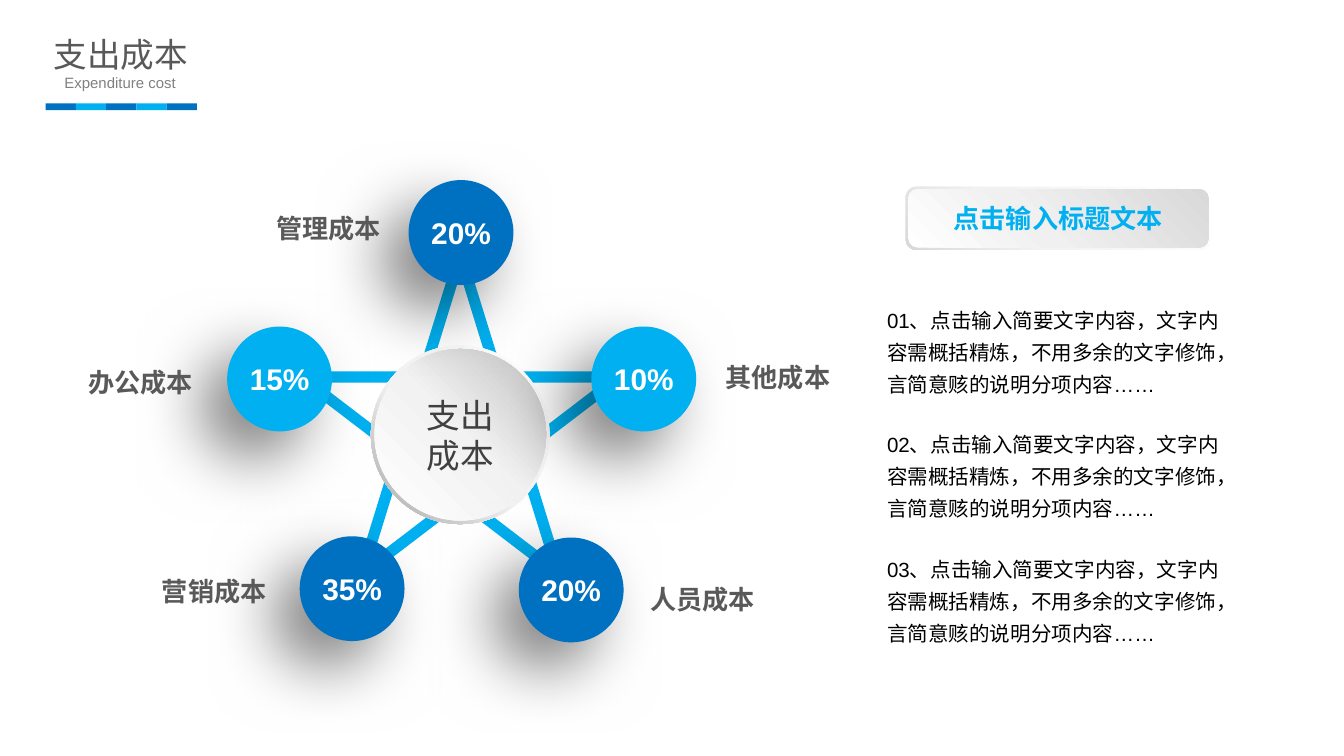
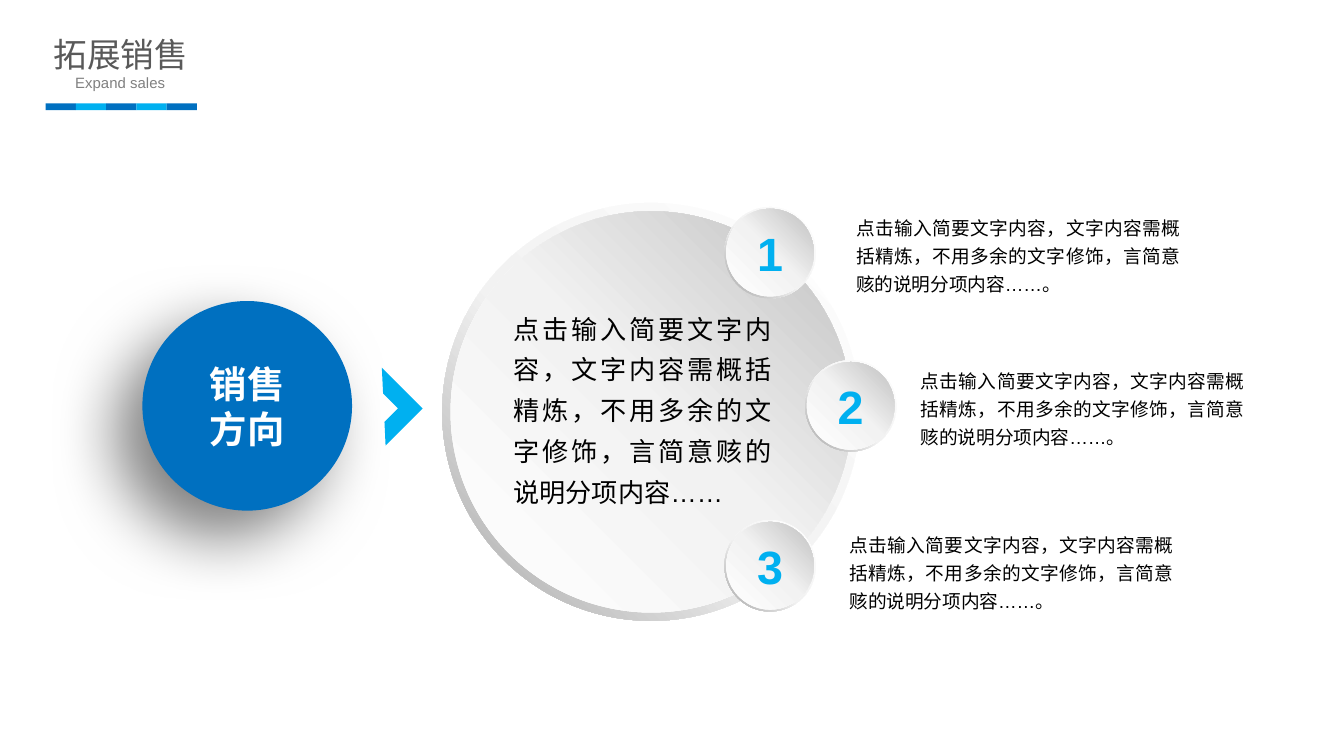
from typing import Any, NamedTuple, Optional

from lxml import etree
from pptx import Presentation
from pptx import util as u
from pptx.dml.color import RGBColor
from pptx.enum import lang, shapes, text
from pptx.oxml.ns import qn

# Shared look: the grid is 100 columns by 56.25 rows of square cells
WIDTH, HEIGHT = u.Inches(10), u.Inches(5.625)
CELL = WIDTH / 100
FONT = "Arial"
COLOURS = {
    "blue": "0070C0",
    "sky": "00B0F0",
    "white": "FFFFFF",
    "black": "000000",
    "title": "595959",
    "subtitle": "808080",
    "core": "404040",
}
SENTENCE = "点击输入简要文字内容，文字内容需概括精炼，不用多余的文字修饰，言简意赅的说明分项内容……"
Shape = shapes.MSO_SHAPE
Align = text.PP_ALIGN
Anchor = text.MSO_ANCHOR


class Area(NamedTuple):
    left: float
    top: float
    width: float
    height: float

    def inset(self, by: float) -> "Area":
        return Area(self.left + by, self.top + by,
                    self.width - 2 * by, self.height - 2 * by)

    def lengths(self) -> list[int]:
        return [round(value * CELL) for value in self]


class Gradient(NamedTuple):
    stops: tuple[tuple[int, str], ...]
    angle: int


class Cost(NamedTuple):
    share: str
    left: float
    top: float
    colour: str
    name: str
    name_left: float
    name_top: float
    align: Any


class Step(NamedTuple):
    number: str
    left: float
    top: float
    note_left: float
    note_top: float


RIM = Gradient(((0, "FFFFFF"), (55, "F2F2F2"), (100, "A6A6A6")), 135)
FACE = Gradient(((0, "FFFFFF"), (51, "F2F2F2"), (100, "BFBFBF")), 315)
PLATE_RIM = Gradient(((0, "FFFFFF"), (62, "F2F2F2"), (100, "D9D9D9")), 135)
PLATE_FACE = Gradient(((0, "FFFFFF"), (42, "F0F0F0"), (100, "D9D9D9")), 315)

COSTS = [
    Cost("15%", 16.9, 24.3, "sky", "办公成本", 5.5, 26.8, Align.CENTER),
    Cost("20%", 30.4, 13.4, "blue", "管理成本", 19.5, 15.3, Align.CENTER),
    Cost("10%", 44, 24.3, "sky", "其他成本", 53, 26.4, Align.LEFT),
    Cost("20%", 38.6, 40, "blue", "人员成本", 47.4, 42.9, Align.LEFT),
    Cost("35%", 22.3, 39.9, "blue", "营销成本", 11, 42.3, Align.CENTER),
]
STEPS = [
    Step("1", 53.9, 15.4, 63.7, 15.7),
    Step("2", 59.9, 26.8, 68.5, 27.1),
    Step("3", 53.9, 38.7, 63.2, 39.3),
]


def rgb(name: str) -> RGBColor:
    return RGBColor.from_string(COLOURS[name])


def write(box: Any, content: str, *, size: float, colour: str, bold: bool = False,
          align: Any = Align.CENTER, anchor: Any = Anchor.TOP, spacing: Any = None,
          gap: float = 0, margins: tuple[float, float] = (0, 0), wrap: bool = True,
          grow: bool = False, bullet_free: bool = False) -> None:
    """Fill a shape with one paragraph per line of content; margins are in cells."""
    frame = box.text_frame
    frame.word_wrap = wrap
    frame.auto_size = (text.MSO_AUTO_SIZE.SHAPE_TO_FIT_TEXT if grow
                       else text.MSO_AUTO_SIZE.NONE)
    frame.vertical_anchor = anchor
    across, down = (round(margin * CELL) for margin in margins)
    frame.margin_left = frame.margin_right = across
    frame.margin_top = frame.margin_bottom = down
    for index, line in enumerate(content.split("\n")):
        para = frame.paragraphs[0] if index == 0 else frame.add_paragraph()
        if bullet_free:
            properties = para._p.get_or_add_pPr()
            properties.set("marL", "0")
            properties.set("indent", "0")
            etree.SubElement(properties, qn("a:buNone"))
        para.alignment = align
        para.space_before = u.Pt(gap if index else 0)
        if spacing is not None:
            para.line_spacing = spacing
        span = para.add_run()
        span.text = line
        span.font.size, span.font.bold, span.font.name = u.Pt(size), bold, FONT
        span.font.color.rgb = rgb(colour)
        span.font.language_id = lang.MSO_LANGUAGE_ID.SIMPLIFIED_CHINESE
        etree.SubElement(span._r.get_or_add_rPr(), qn("a:ea"), typeface=FONT)


def add_text(page: Any, area: Area, content: str, **style: Any) -> None:
    box = page.shapes.add_textbox(*area.lengths())
    write(box, content, grow=True, **style)


def paint_gradient(box: Any, gradient: Gradient) -> None:
    box.fill.gradient()
    fill = box._element.spPr.find(qn("a:gradFill"))
    for child in list(fill):
        fill.remove(child)
    stops = etree.SubElement(fill, qn("a:gsLst"))
    for position, colour in gradient.stops:
        stop = etree.SubElement(stops, qn("a:gs"), pos=str(position * 1000))
        etree.SubElement(stop, qn("a:srgbClr"), val=colour)
    etree.SubElement(fill, qn("a:lin"), ang=str(gradient.angle * 60000), scaled="0")


def draw(parent: Any, kind: Any, area: Area, fill: Optional[str | Gradient]) -> Any:
    """Add a preset shape without outline or shadow."""
    box = parent.shapes.add_shape(kind, *area.lengths())
    box.shadow.inherit = False
    box.line.fill.background()
    if isinstance(fill, Gradient):
        paint_gradient(box, fill)
    elif fill:
        box.fill.solid()
        box.fill.fore_color.rgb = rgb(fill)
    else:
        box.fill.background()
    return box


def draw_shadowed_disc(page: Any, left: float, top: float, size: float,
                       colour: str, content: str, font_size: float) -> None:
    disc = draw(page, Shape.OVAL, Area(left, top, size, size), colour)
    effects = disc._element.spPr.find(qn("a:effectLst"))
    shadow = etree.SubElement(
        effects, qn("a:outerShdw"), blurRad=str(u.Pt(35)), dist=str(u.Pt(20)),
        dir=str(135 * 60000), algn="tr", rotWithShape="0")
    tint = etree.SubElement(shadow, qn("a:srgbClr"), val=COLOURS["black"])
    etree.SubElement(tint, qn("a:alpha"), val="50000")
    write(disc, content, size=font_size, colour="white", bold=True,
          anchor=Anchor.MIDDLE, wrap=False)


def draw_raised_disc(page: Any, left: float, top: float, size: float) -> Any:
    """Draw a rimmed grey disc and return its face."""
    group = page.shapes.add_group_shape()
    area = Area(left, top, size, size)
    rim = draw(group, Shape.DONUT, area, RIM)
    rim.adjustments[0] = 0.049
    return draw(group, Shape.OVAL, area.inset(size * 0.02), FACE)


def add_page(deck: Any, layout: int, title: str, subtitle: str) -> Any:
    """Add a slide with the shared heading and striped underline."""
    page = deck.slides.add_slide(deck.slide_layouts[layout])
    heading = page.shapes.title
    heading.left, heading.top, heading.width, heading.height = Area(
        3.2, 2.1, 11.6, 3.8).lengths()
    write(heading, title, size=18, colour="title", anchor=Anchor.MIDDLE,
          margins=(0.7, 0.4), wrap=False)
    add_text(page, Area(-0.7, 5, 19.3, 2.4), subtitle, size=8, colour="subtitle",
             margins=(1, 0.5))
    for index in range(5):
        draw(page, Shape.RECTANGLE, Area(3.4 + index * 2.25, 7.7, 2.25, 0.5),
             "sky" if index % 2 else "blue")
    return page


def build_costs(deck: Any) -> None:
    page = add_page(deck, 1, "支出成本", "Expenditure cost")

    # Star with the hub on top
    star = draw(page, Shape.STAR_5_POINT, Area(22.4, 19, 23.7, 23.7), None)
    star.line.color.rgb = rgb("sky")
    star.line.width = u.Pt(6)
    hub = draw_raised_disc(page, 27.6, 25.7, 13.3)
    write(hub, "支出\n成本", size=18, colour="core", anchor=Anchor.MIDDLE, wrap=False)

    # Cost shares and their names
    for cost in COSTS:
        draw_shadowed_disc(page, cost.left, cost.top, 7.8, cost.colour, cost.share, 16)
        add_text(page, Area(cost.name_left, cost.name_top, 9.9, 3.4), cost.name,
                 size=14, colour="title", bold=True, align=cost.align,
                 margins=(1, 0.5), wrap=False)

    # Banner
    group = page.shapes.add_group_shape()
    plate = Area(67.4, 13.9, 22.7, 4.7)
    draw(group, Shape.ROUNDED_RECTANGLE, plate, PLATE_RIM)
    banner = draw(group, Shape.ROUNDED_RECTANGLE, plate.inset(0.17), PLATE_FACE)
    write(banner, "点击输入标题文本", size=14, colour="sky", bold=True,
          anchor=Anchor.MIDDLE)

    # Numbered list
    body = page.placeholders[1]
    body.left, body.top, body.width, body.height = Area(65, 21.9, 27.6, 26.7).lengths()
    items = "\n".join(f"{number:02d}、{SENTENCE}" for number in range(1, 4))
    write(body, items, size=11, colour="black", align=Align.LEFT, spacing=1.3,
          gap=15, margins=(1, 0.5), bullet_free=True)


def build_sales(deck: Any) -> None:
    page = add_page(deck, 5, "拓展销售", "Expand sales")

    # Direction and arrow
    draw_shadowed_disc(page, 10.6, 22.4, 15.6, "blue", "销售\n方向", 20)
    arrow = draw(page, Shape.HALF_FRAME, Area(26.6, 28.1, 3.9, 4.3), "sky")
    arrow.rotation = 135

    # Large disc with the summary
    draw_raised_disc(page, 32.9, 15.1, 31.1)
    add_text(page, Area(38.2, 22.6, 19.2, 15.3), SENTENCE, size=14, colour="black",
             align=Align.JUSTIFY, spacing=1.3)

    # Numbered steps
    for step in STEPS:
        badge = draw_raised_disc(page, step.left, step.top, 6.8)
        write(badge, step.number, size=25, colour="sky", bold=True,
              anchor=Anchor.MIDDLE)
        add_text(page, Area(step.note_left, step.note_top, 24.1, 6.3), SENTENCE + "。",
                 size=10, colour="black", align=Align.JUSTIFY, spacing=u.Pt(15))


def main() -> None:
    deck = Presentation()
    deck.slide_width, deck.slide_height = WIDTH, HEIGHT
    build_costs(deck)
    build_sales(deck)
    deck.save("out.pptx")


if __name__ == "__main__":
    main()
